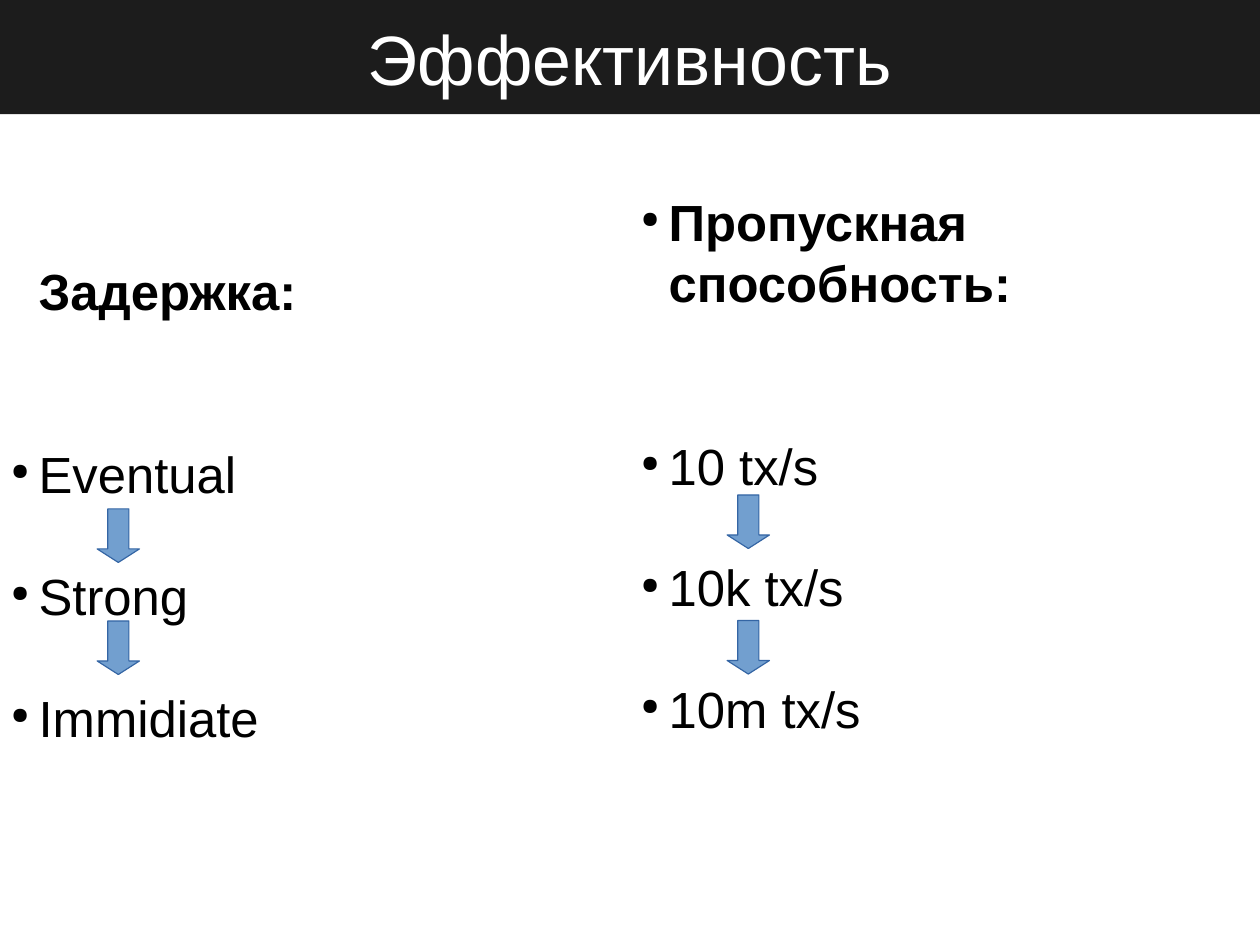
from dataclasses import dataclass

from lxml import etree
from pptx import Presentation
from pptx.dml.color import RGBColor
from pptx.enum.shapes import MSO_SHAPE
from pptx.enum.text import MSO_ANCHOR, PP_ALIGN
from pptx.oxml.ns import qn
from pptx.util import Cm, Pt

RECTANGLE = MSO_SHAPE.RECTANGLE
DOWN_ARROW = MSO_SHAPE.DOWN_ARROW
MIDDLE = MSO_ANCHOR.MIDDLE
CENTER = PP_ALIGN.CENTER


@dataclass(frozen=True)
class Theme:
    font: str = "Arial"
    title_size: Pt = Pt(44)
    body_size: Pt = Pt(32)
    line_pitch: Pt = Pt(38.4)
    band: RGBColor = RGBColor(0x1C, 0x1C, 0x1C)
    title: RGBColor = RGBColor(0xFF, 0xFF, 0xFF)
    text: RGBColor = RGBColor(0, 0, 0)
    arrow_fill: RGBColor = RGBColor(0x72, 0x9F, 0xCF)
    arrow_line: RGBColor = RGBColor(0x34, 0x65, 0xA4)


THEME = Theme()
INDENT = Cm(0.61)


def set_font(paragraph, size, color, bold=False):
    font = paragraph.font
    font.name, font.size, font.bold = THEME.font, size, bold
    font.color.rgb = color


def prepare_frame(shape, margin_top=0):
    frame = shape.text_frame
    frame.word_wrap = True
    frame.vertical_anchor = MIDDLE
    frame.margin_left = frame.margin_right = frame.margin_bottom = 0
    frame.margin_top = margin_top
    return frame


def set_indent(paragraph, bulleted):
    properties = paragraph._p.get_or_add_pPr()
    properties.set("marL", str(INDENT))
    properties.set("indent", str(-INDENT if bulleted else 0))
    if bulleted:
        color = etree.SubElement(properties, qn("a:buClr"))
        etree.SubElement(color, qn("a:srgbClr"), val=str(THEME.text))
        etree.SubElement(properties, qn("a:buSzPct"), val="45000")
        etree.SubElement(properties, qn("a:buChar"), char="●")
    else:
        etree.SubElement(properties, qn("a:buNone"))


def add_title(slide, left, top, width, height, text):
    band = slide.shapes.add_shape(RECTANGLE, left, top, width, height)
    band.shadow.inherit = False
    band.fill.solid()
    band.fill.fore_color.rgb = THEME.band
    band.line.fill.background()
    paragraph = prepare_frame(band).paragraphs[0]
    paragraph.text = text
    paragraph.alignment = CENTER
    set_font(paragraph, THEME.title_size, THEME.title)


def add_arrow(slide, left, top):
    arrow = slide.shapes.add_shape(DOWN_ARROW, left, top, Cm(0.94), Cm(1.19))
    arrow.shadow.inherit = False
    arrow.adjustments[0] = 0.5
    arrow.adjustments[1] = 0.32
    arrow.fill.solid()
    arrow.fill.fore_color.rgb = THEME.arrow_fill
    arrow.line.color.rgb = THEME.arrow_line
    arrow.line.width = Pt(0)


def add_column(slide, left, top, width, height, heading, levels, arrow_tops,
               heading_bulleted):
    # Heading, then the levels one or two lines apart
    box = slide.shapes.add_textbox(left, top, width, height)
    frame = prepare_frame(box, margin_top=THEME.line_pitch)
    for index, text in enumerate([heading, *levels]):
        paragraph = frame.add_paragraph() if index else frame.paragraphs[0]
        paragraph.text = text
        set_indent(paragraph, bulleted=index > 0 or heading_bulleted)
        paragraph.line_spacing = THEME.line_pitch
        blank_lines = {0: 0, 1: 2}.get(index, 1)
        paragraph.space_before = Pt(THEME.line_pitch.pt * blank_lines)
        set_font(paragraph, THEME.body_size, THEME.text, bold=index == 0)

    # Arrows from each level to the next
    for arrow_top in arrow_tops:
        add_arrow(slide, left + Cm(1.91), top + arrow_top)


def main():
    presentation = Presentation()
    presentation.slide_width = Cm(28)
    presentation.slide_height = Cm(21)
    slide = presentation.slides.add_slide(presentation.slide_layouts[6])

    add_title(slide, 0, 0, presentation.slide_width, Cm(2.54), "Эффективность")
    add_column(slide, Cm(0.25), Cm(3.56), Cm(10.74), Cm(13.92),
               "Задержка:", ["Eventual", "Strong", "Immidiate"],
               [Cm(7.75), Cm(10.24)], heading_bulleted=False)
    add_column(slide, Cm(14.25), Cm(2.69), Cm(12.57), Cm(13.92),
               "Пропускная способность:", ["10 tx/s", "10k tx/s", "10m tx/s"],
               [Cm(8.31), Cm(11.1)], heading_bulleted=True)

    presentation.save("out.pptx")


if __name__ == "__main__":
    main()
